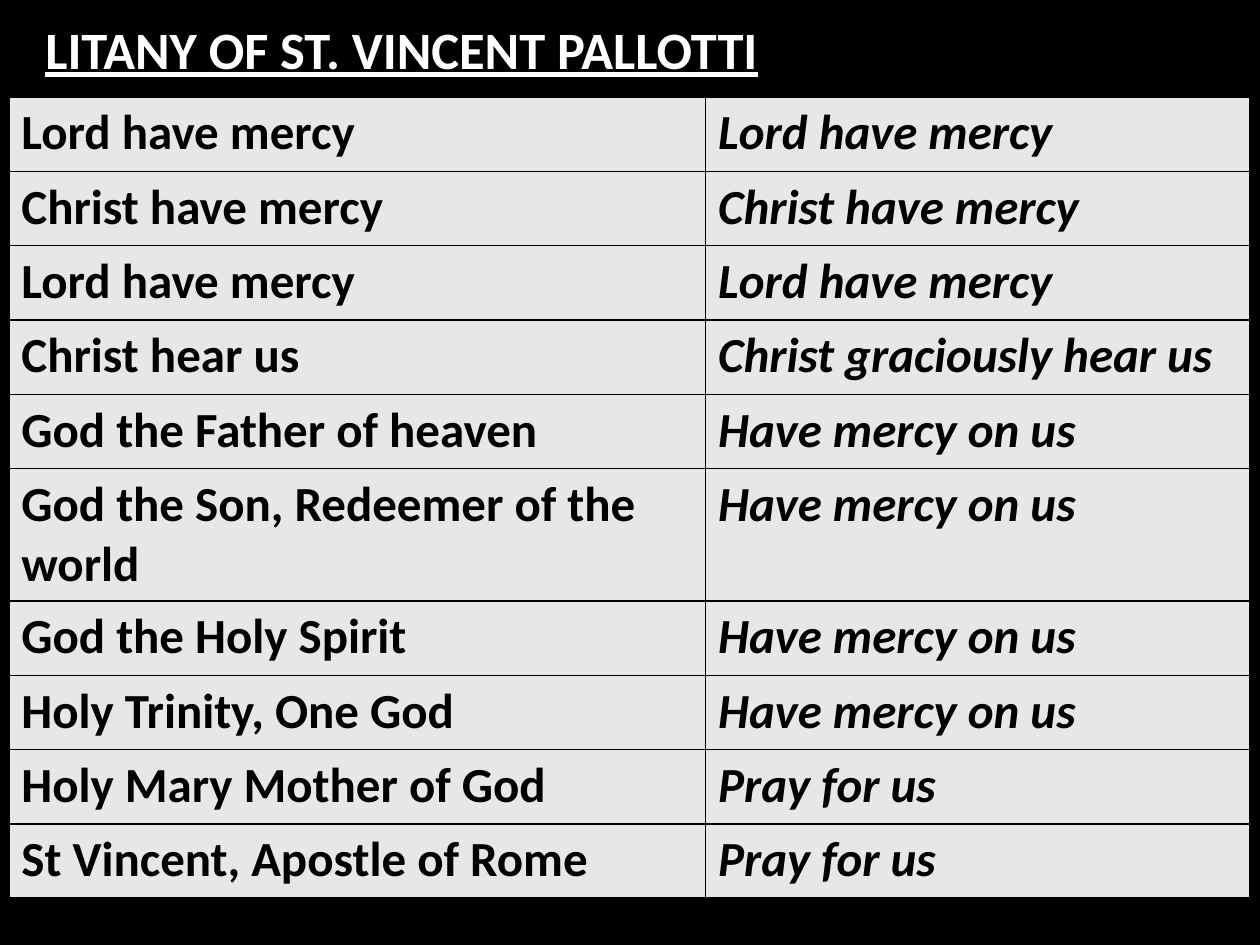
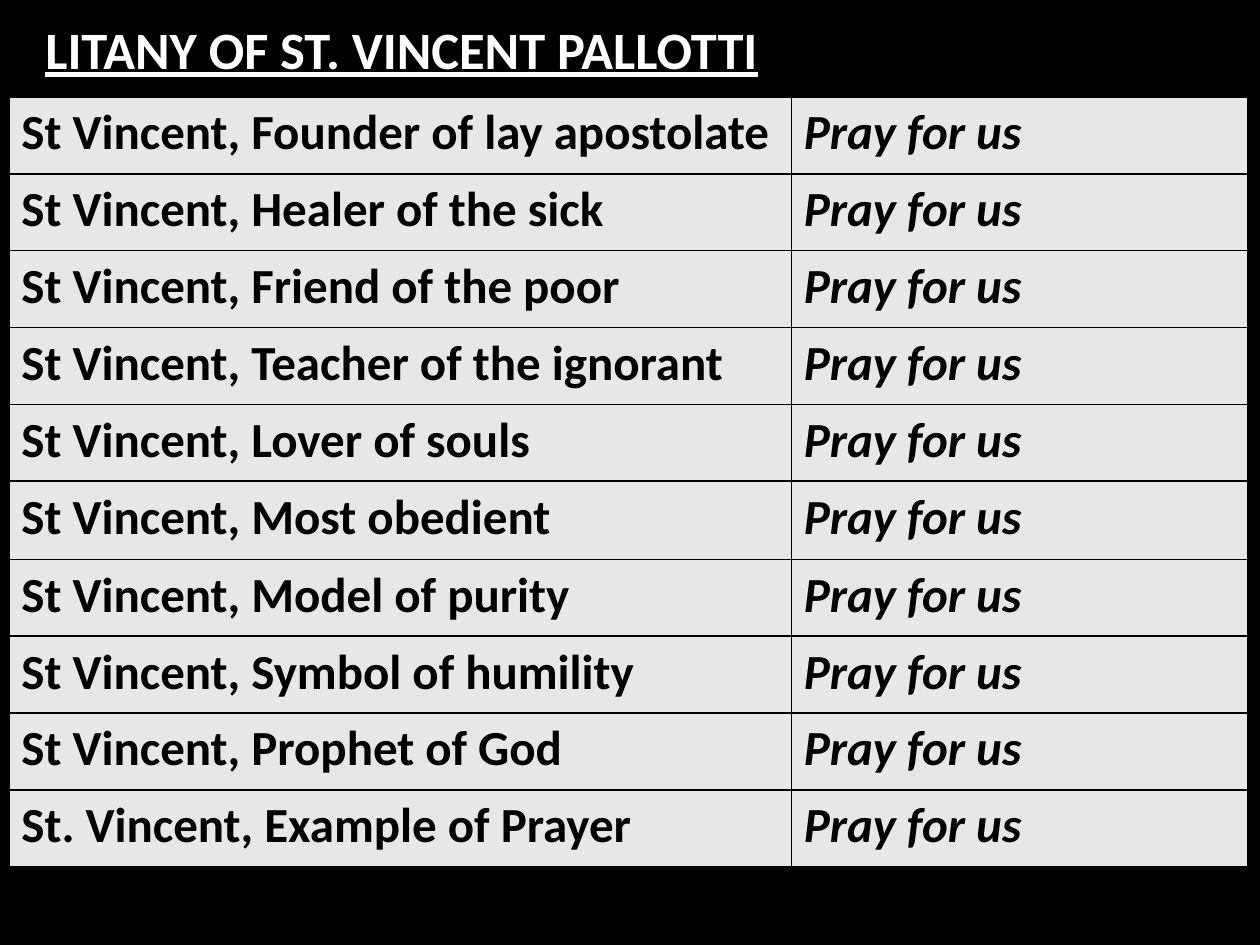
from lxml import etree
from pptx import Presentation
from pptx import util as u
from pptx.dml.color import RGBColor
from pptx.enum import text
from pptx.oxml import ns

HUES = {"back": "000000", "title": "FFFFFF", "ink": "000000",
        "cell": "E7E7E7", "rule": "000000"}
FACE = "Calibri"
TITLE = "LITANY OF ST. VINCENT PALLOTTI"
TITLE_BOX = (0.07, 0, 9.87, 0.77)

MERCY = "Have mercy on us"
PRAY = "Pray for us"

OPENING = [
    ("Lord have mercy", "Lord have mercy"),
    ("Christ have mercy", "Christ have mercy"),
    ("Lord have mercy", "Lord have mercy"),
    ("Christ hear us", "Christ graciously hear us"),
    ("God the Father of heaven", MERCY),
    ("God the Son, Redeemer of the world", MERCY),
    ("God the Holy Spirit", MERCY),
    ("Holy Trinity, One God", MERCY),
    ("Holy Mary Mother of God", PRAY),
    ("St Vincent, Apostle of Rome", PRAY),
]
SAINT = [(call, PRAY) for call in (
    "St Vincent, Founder of lay apostolate",
    "St Vincent, Healer of the sick",
    "St Vincent, Friend of the poor",
    "St Vincent, Teacher of the ignorant",
    "St Vincent, Lover of souls",
    "St Vincent, Most obedient",
    "St Vincent, Model of purity",
    "St Vincent, Symbol of humility",
    "St Vincent, Prophet of God",
    "St. Vincent, Example of Prayer",
)]


def paint(fill, hue):
    fill.solid()
    fill.fore_color.rgb = RGBColor.from_string(HUES[hue])


def style(para, size, hue, italic=False, under=False):
    for run in para.runs:
        font = run.font
        font.name, font.size, font.bold = FACE, u.Pt(size), True
        font.italic, font.underline = italic, under
        font.color.rgb = RGBColor.from_string(HUES[hue])


def border(cell):
    """Rule all four sides; call before filling the cell."""
    props = cell._tc.get_or_add_tcPr()
    for side in ("lnL", "lnR", "lnT", "lnB"):
        line = etree.SubElement(props, ns.qn(f"a:{side}"), w=str(u.Pt(1)))
        solid = etree.SubElement(line, ns.qn("a:solidFill"))
        etree.SubElement(solid, ns.qn("a:srgbClr"), val=HUES["rule"])


def add_title(slide, box):
    title = slide.shapes.title
    title.left, title.top, title.width, title.height = map(u.Inches, box)
    frame = title.text_frame
    frame.text = TITLE
    frame.word_wrap = True
    frame.auto_size = text.MSO_AUTO_SIZE.NONE
    frame.vertical_anchor = text.MSO_ANCHOR.MIDDLE
    para = frame.paragraphs[0]
    para.alignment = text.PP_ALIGN.LEFT
    props = para._p.get_or_add_pPr()
    props.set("marL", str(u.Inches(0.19)))
    props.set("indent", "0")
    style(para, 30, "title", under=True)


def add_prayers(slide, left, top, widths, step, pairs, tall):
    """Calls on the left, answers in italics on the right."""
    heights = [tall.get(n, step) for n in range(len(pairs))]
    box = map(u.Inches, (left, top, sum(widths), sum(heights)))
    table = slide.shapes.add_table(len(pairs), 2, *box).table
    table.first_row = table.horz_banding = False
    for col, width in zip(table.columns, widths):
        col.width = u.Inches(width)
    for row, height, pair in zip(table.rows, heights, pairs):
        row.height = u.Inches(height)
        for n, (cell, words) in enumerate(zip(row.cells, pair)):
            border(cell)
            paint(cell.fill, "cell")
            cell.text = words
            style(cell.text_frame.paragraphs[0], 28, "ink", italic=n == 1)


def add_page(deck, widths, step, pairs, tall):
    slide = deck.slides.add_slide(deck.slide_layouts[5])
    paint(slide.background.fill, "back")
    add_title(slide, TITLE_BOX)
    left, top, _, high = TITLE_BOX
    add_prayers(slide, left, top + high, widths, step, pairs, tall)


def main():
    deck = Presentation()
    deck.slide_width, deck.slide_height = u.Inches(10), u.Inches(7.5)
    # The one call that wraps needs a taller row
    add_page(deck, (5.53, 4.32), 0.59, OPENING, {5: 0.98})
    add_page(deck, (6.21, 3.62), 0.61, SAINT, {5: 0.62})
    deck.save("out.pptx")


if __name__ == "__main__":
    main()
